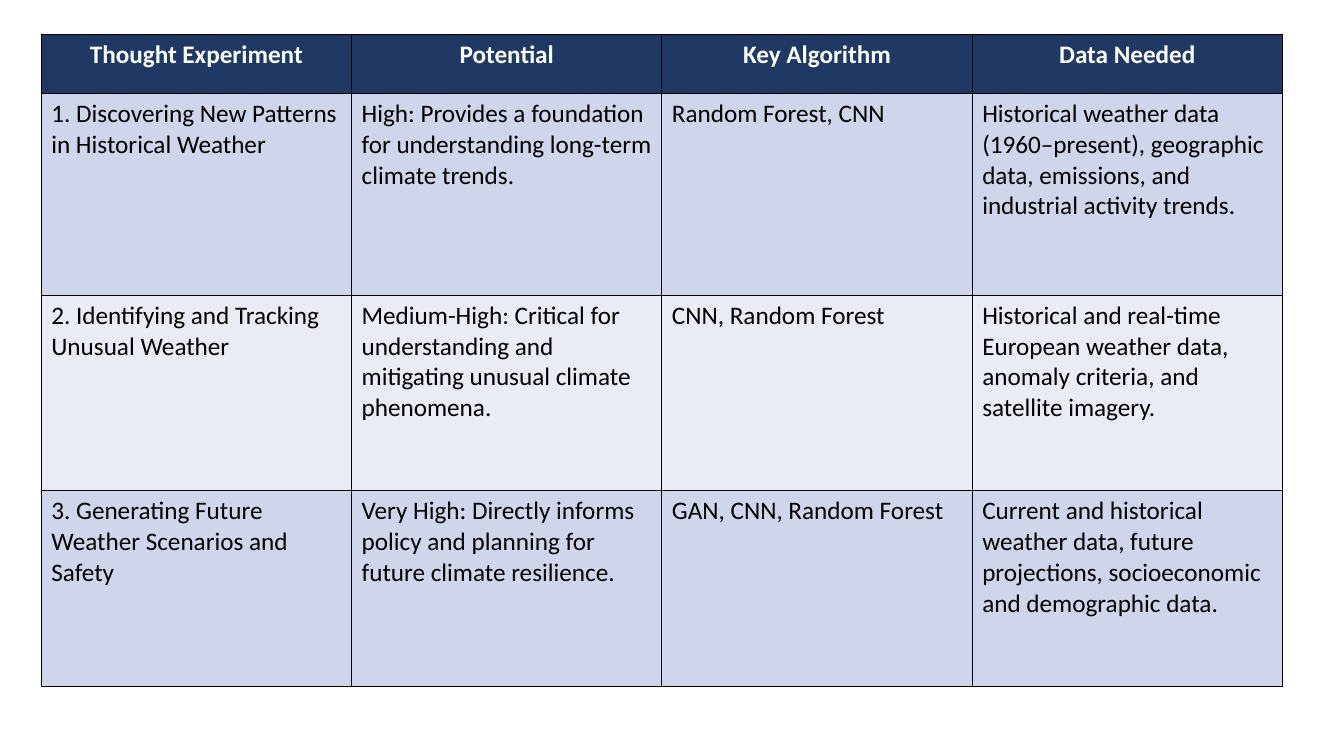
import pptx
import pptx.dml.color
import pptx.enum.text
import pptx.oxml
import pptx.oxml.ns
import pptx.util
from pptx.dml.color import RGBColor
from pptx.util import Cm, Pt

HEADERS = ["Thought Experiment", "Potential", "Key Algorithm", "Data Needed"]
EXPERIMENTS = [
    ("1. Discovering New Patterns in Historical Weather",
     "High: Provides a foundation for understanding long-term climate trends.",
     "Random Forest, CNN",
     "Historical weather data (1960–present), geographic data, emissions, "
     "and industrial activity trends."),
    ("2. Identifying and Tracking Unusual Weather",
     "Medium-High: Critical for understanding and mitigating unusual climate phenomena.",
     "CNN, Random Forest",
     "Historical and real-time European weather data, anomaly criteria, "
     "and satellite imagery."),
    ("3. Generating Future Weather Scenarios and Safety",
     "Very High: Directly informs policy and planning for future climate resilience.",
     "GAN, CNN, Random Forest",
     "Current and historical weather data, future projections, "
     "socioeconomic and demographic data."),
]

NAVY = RGBColor(0x20, 0x38, 0x64)
BANDS = [RGBColor(0xCF, 0xD5, 0xEA), RGBColor(0xE9, 0xEB, 0xF5)]
WHITE = RGBColor(0xFF, 0xFF, 0xFF)
BLACK = RGBColor(0x00, 0x00, 0x00)

LEFT, TOP = Cm(1.04), Cm(0.87)
COL_WIDTH = Cm(7.82)
ROW_HEIGHTS = [Cm(1.49), Cm(5.08), Cm(4.93), Cm(4.93)]
FONT = {"name": "Calibri", "size": Pt(18)}


def add_borders(cell):
    tc_pr = cell._tc.get_or_add_tcPr()
    for side in "LRTB":
        tc_pr.append(pptx.oxml.parse_xml(
            f'<a:ln{side} {pptx.oxml.ns.nsdecls("a")} w="{Pt(1)}">'
            f'<a:solidFill><a:srgbClr val="{BLACK}"/></a:solidFill></a:ln{side}>'))


def fill_cell(cell, text, fill, color, bold, align):
    add_borders(cell)
    cell.fill.solid()
    cell.fill.fore_color.rgb = fill
    p = cell.text_frame.paragraphs[0]
    p.alignment = align
    r = p.add_run()
    r.text = text
    for key, value in {**FONT, "bold": bold}.items():
        setattr(r.font, key, value)
    r.font.color.rgb = color


def main():
    prs = pptx.Presentation()
    prs.slide_width, prs.slide_height = Cm(33.87), Cm(19.05)
    s = prs.slides.add_slide(prs.slide_layouts[6])
    rows = [HEADERS, *EXPERIMENTS]
    table = s.shapes.add_table(len(rows), len(HEADERS), LEFT, TOP,
                               COL_WIDTH * len(HEADERS), sum(ROW_HEIGHTS)).table
    for column in table.columns:
        column.width = COL_WIDTH
    align = pptx.enum.text.PP_ALIGN
    for i, texts in enumerate(rows):
        table.rows[i].height = ROW_HEIGHTS[i]
        if i == 0:
            style = (NAVY, WHITE, True, align.CENTER)
        else:
            style = (BANDS[(i - 1) % 2], BLACK, False, align.LEFT)
        for j, text in enumerate(texts):
            fill_cell(table.cell(i, j), text, *style)
    prs.save("out.pptx")


if __name__ == "__main__":
    main()
